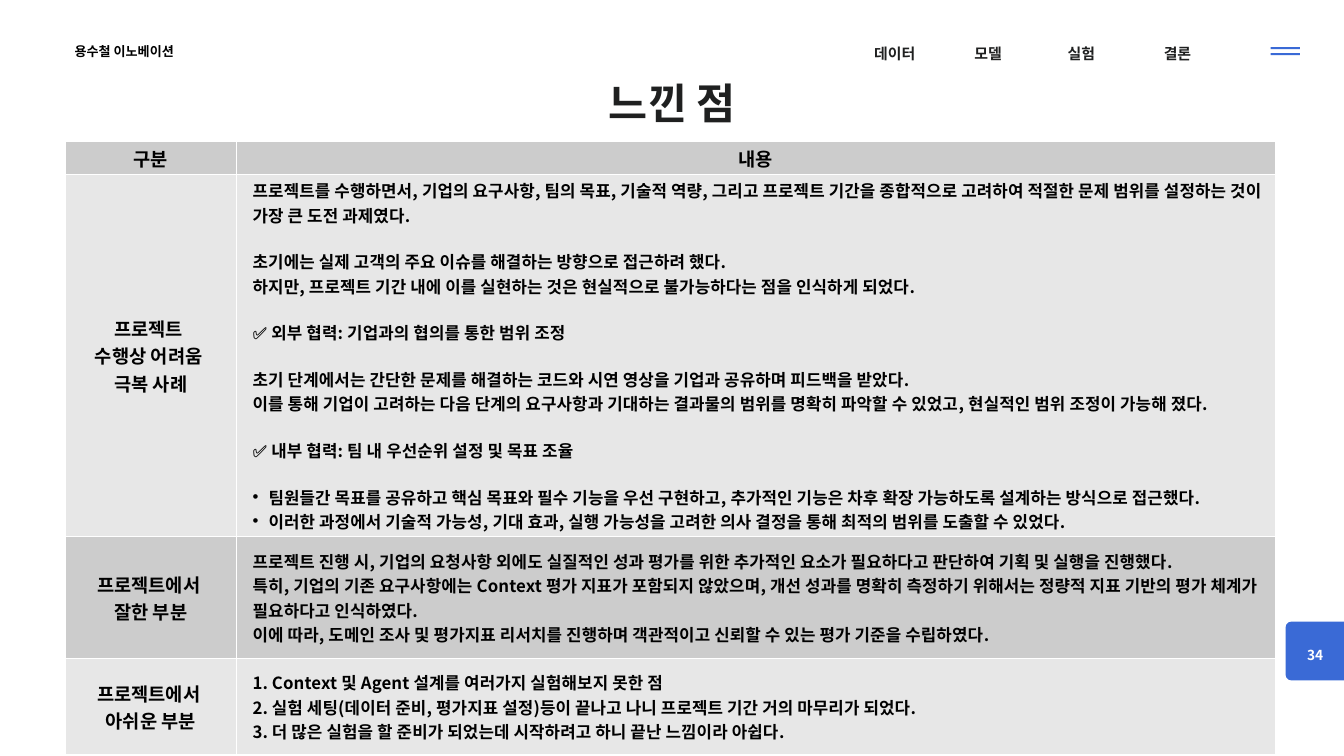
from lxml.etree import SubElement
from pptx import Presentation
from pptx.dml.color import RGBColor
from pptx.enum.shapes import MSO_SHAPE
from pptx.enum.text import MSO_ANCHOR, MSO_AUTO_SIZE, PP_ALIGN
from pptx.oxml.ns import qn
from pptx.util import Pt

COLORS = {"blue": "3A6AD6", "ink": "1F2020", "black": "000000",
          "white": "FFFFFF", "dark": "CCCCCC", "light": "E7E7E7"}
FONT = "Noto Sans CJK KR"


def add_text(p, text, size, color, tracking=0):
    for i, line in enumerate(text.split("\n")):
        if i:
            p.add_line_break()
        r = p.add_run()
        r.text = line
        r.font.size = Pt(size)
        r.font.bold = True
        r.font.name = FONT
        r.font.color.rgb = RGBColor.from_string(COLORS[color])
        rPr = r.font._element
        SubElement(rPr, qn("a:ea")).set("typeface", FONT)
        if tracking:
            rPr.set("spc", str(tracking))


def add_label(text, x, y, w, h, size, color, align=PP_ALIGN.LEFT, spacing=1.4, anchor=MSO_ANCHOR.TOP):
    tf = s.shapes.add_textbox(Pt(x), Pt(y), Pt(w), Pt(h)).text_frame
    tf.margin_left = tf.margin_right = tf.margin_top = tf.margin_bottom = 0
    tf.word_wrap = True
    tf.auto_size = MSO_AUTO_SIZE.SHAPE_TO_FIT_TEXT
    tf.vertical_anchor = anchor
    p = tf.paragraphs[0]
    p.alignment = align
    p.line_spacing = spacing
    add_text(p, text, size, color)


prs = Presentation()
prs.slide_width, prs.slide_height = Pt(1440), Pt(810)
s = prs.slides.add_slide(prs.slide_layouts[6])

for kind, x, y, w, h in [
    (MSO_SHAPE.ROUNDED_RECTANGLE, 1377.4, 666, 74.9, 63),
    (MSO_SHAPE.RECTANGLE, 1361.5, 50.4, 31.3, 2.2),
    (MSO_SHAPE.RECTANGLE, 1361.5, 56.9, 31.3, 2.2),
]:
    sp = s.shapes.add_shape(kind, Pt(x), Pt(y), Pt(w), Pt(h))
    sp.shadow.inherit = False
    sp.fill.solid()
    sp.fill.fore_color.rgb = RGBColor.from_string(COLORS["blue"])
    sp.line.fill.background()
    if kind == MSO_SHAPE.ROUNDED_RECTANGLE:
        sp.adjustments[0] = 0.1

add_label("용수철 이노베이션", 79.9, 40.3, 158.4, 23.8, 14, "black")
for text, x, w in [("데이터", 936.7, 64), ("모델", 1044, 57.6), ("실험", 1144, 83.5), ("결론", 1247, 77)]:
    add_label(text, x, 40.3, w, 27.4, 16, "ink")
add_label("느낀 점", 421.2, 81.8, 598.3, 55.4, 45.5, "ink", PP_ALIGN.CENTER, 1, MSO_ANCHOR.MIDDLE)

rows = [
    (36, "dark", ["구분"], [("내용", 0, 0, None)]),
    (388, "light", ["프로젝트 ", "수행상 어려움 ", "극복 사례"], [
        ("프로젝트를 수행하면서, 기업의 요구사항, 팀의 목표, 기술적 역량, 그리고 프로젝트 기간을 종합적으로 고려하여 적절한 문제 범위를 설정하는 것이 가장 큰 도전 과제였다.", 0, 12, None),
        ("초기에는 실제 고객의 주요 이슈를 해결하는 방향으로 접근하려 했다.\n하지만, 프로젝트 기간 내에 이를 실현하는 것은 현실적으로 불가능하다는 점을 인식하게 되었다.", 12, 12, None),
        ("✅ 외부 협력: 기업과의 협의를 통한 범위 조정", 12, 12, None),
        ("초기 단계에서는 간단한 문제를 해결하는 코드와 시연 영상을 기업과 공유하며 피드백을 받았다.\n이를 통해 기업이 고려하는 다음 단계의 요구사항과 기대하는 결과물의 범위를 명확히 파악할 수 있었고, 현실적인 범위 조정이 가능해 졌다.", 12, 12, None),
        ("✅ 내부 협력: 팀 내 우선순위 설정 및 목표 조율", 12, 12, None),
        ("팀원들간 목표를 공유하고 핵심 목표와 필수 기능을 우선 구현하고, 추가적인 기능은 차후 확장 가능하도록 설계하는 방식으로 접근했다.", 12, 0, "bullet"),
        ("이러한 과정에서 기술적 가능성, 기대 효과, 실행 가능성을 고려한 의사 결정을 통해 최적의 범위를 도출할 수 있었다.", 0, 12, "bullet"),
    ]),
    (130.5, "dark", ["프로젝트에서 ", "잘한 부분"], [
        ("프로젝트 진행 시, 기업의 요청사항 외에도 실질적인 성과 평가를 위한 추가적인 요소가 필요하다고 판단하여 기획 및 실행을 진행했다.", 0, 0, None),
        ("특히, 기업의 기존 요구사항에는 Context 평가 지표가 포함되지 않았으며, 개선 성과를 명확히 측정하기 위해서는 정량적 지표 기반의 평가 체계가 필요하다고 인식하였다.", 0, 0, None),
        ("이에 따라, 도메인 조사 및 평가지표 리서치를 진행하며 객관적이고 신뢰할 수 있는 평가 기준을 수립하였다.", 0, 0, None),
    ]),
    (103, "light", ["프로젝트에서 ", "아쉬운 부분"], [
        (" Context 및 Agent 설계를 여러가지 실험해보지 못한 점", 0, 0, "number"),
        (" 실험 세팅(데이터 준비, 평가지표 설정)등이 끝나고 나니 프로젝트 기간 거의 마무리가 되었다.", 0, 0, "number"),
        (" 더 많은 실험을 할 준비가 되었는데 시작하려고 하니 끝난 느낌이라 아쉽다.", 0, 0, "number"),
    ]),
]
table_height = sum(row[0] for row in rows)
table = s.shapes.add_table(len(rows), 2, Pt(69.8), Pt(151.2), Pt(1296.4), Pt(table_height)).table
table.columns[0].width, table.columns[1].width = Pt(183.6), Pt(1112.8)

for i, (height, fill, heading, body) in enumerate(rows):
    table.rows[i].height = Pt(height)
    for j, paragraphs in enumerate([[(t, 0, 0, None) for t in heading], body]):
        centered = i == 0 or j == 0
        cell = table.cell(i, j)
        cell.vertical_anchor = MSO_ANCHOR.MIDDLE
        cell.margin_left = Pt(7.2 if centered else 17.3)
        tcPr = cell._tc.get_or_add_tcPr()
        for side in ("a:lnL", "a:lnR", "a:lnT", "a:lnB"):
            ln = SubElement(tcPr, qn(side), w=str(Pt(1)))
            SubElement(SubElement(ln, qn("a:solidFill")), qn("a:srgbClr"), val=COLORS["white"])
        cell.fill.solid()
        cell.fill.fore_color.rgb = RGBColor.from_string(COLORS[fill])
        tf = cell.text_frame
        for k, (text, before, after, marker) in enumerate(paragraphs):
            p = tf.add_paragraph() if k else tf.paragraphs[0]
            p.alignment = PP_ALIGN.CENTER if centered else PP_ALIGN.LEFT
            p.space_before, p.space_after = Pt(before), Pt(after)
            if marker:
                pPr = p._p.get_or_add_pPr()
                indent = Pt(17) if marker == "bullet" else 0
                pPr.set("marL", str(indent))
                pPr.set("indent", str(-indent))
                SubElement(SubElement(pPr, qn("a:buClr")), qn("a:srgbClr"), val=COLORS["black"])
                if marker == "bullet":
                    SubElement(pPr, qn("a:buFont"), typeface="Arial")
                    SubElement(pPr, qn("a:buChar"), char="•")
                else:
                    SubElement(pPr, qn("a:buAutoNum"), type="arabicPeriod")
            if centered:
                add_text(p, text, 20, "black")
            else:
                add_text(p, text, 18, "black", tracking=15)

add_label("34", 1391.8, 686.2, 34.6, 25.2, 14.7, "white", PP_ALIGN.CENTER)

prs.save("out.pptx")
